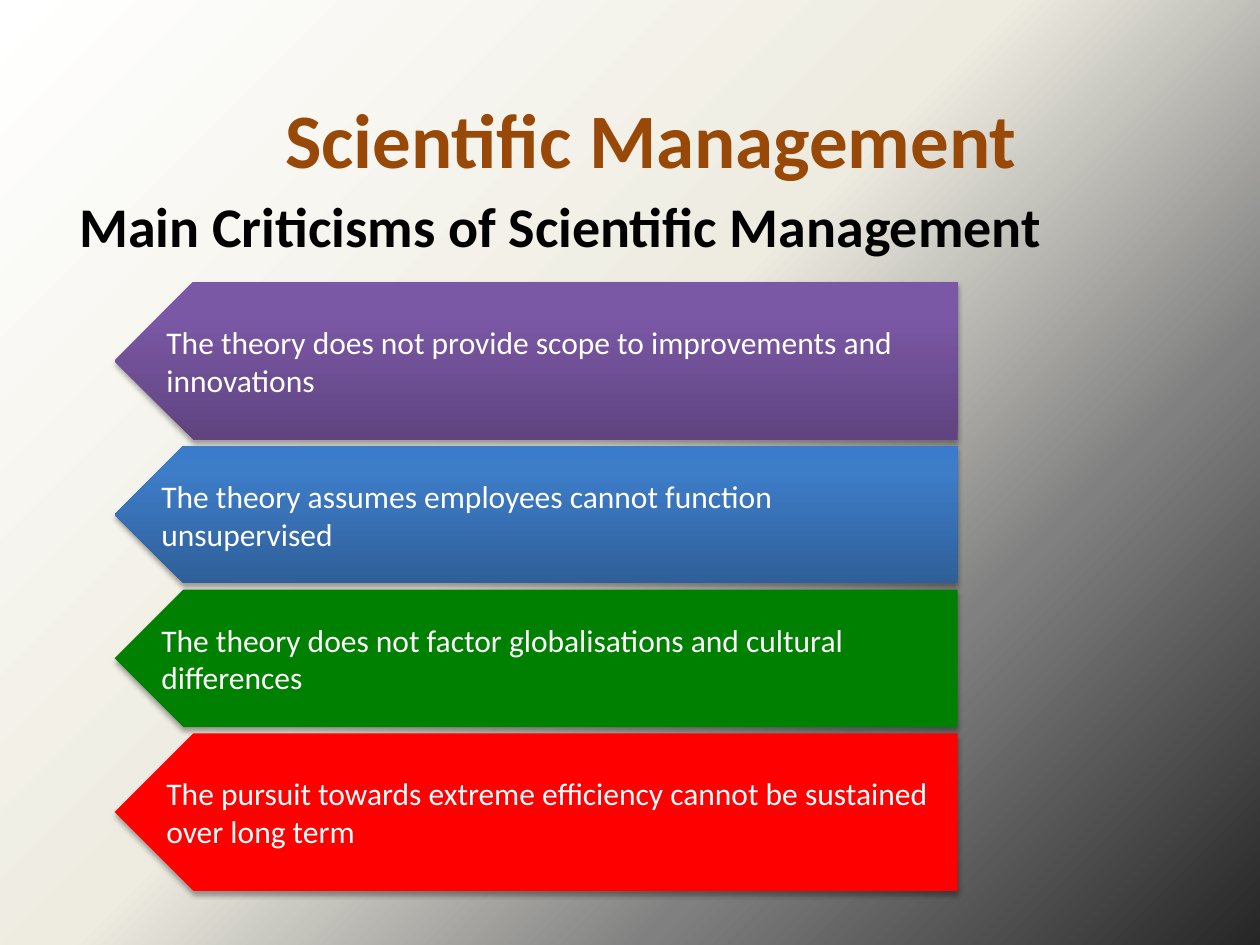
from lxml import etree
from pptx import Presentation
from pptx.dml.color import RGBColor
from pptx.enum import shapes, text
from pptx.oxml.ns import qn
from pptx.util import Inches, Pt

# Content
TITLE = "Scientific Management"
SUBTITLE = "Main Criticisms of Scientific Management"
BROWN = RGBColor(0x98, 0x48, 0x07)
BLACK = RGBColor(0, 0, 0)
WHITE = RGBColor(255, 255, 255)
GREEN = RGBColor(0, 0x80, 0)
RED = RGBColor(255, 0, 0)
BACKGROUND = [(0, WHITE), (46, RGBColor(0xEE, 0xEC, 0xE1)),
              (72, RGBColor(0x80, 0x80, 0x80)), (100, RGBColor(0x26, 0x26, 0x26))]
PURPLES = [(0, RGBColor(0x5F, 0x44, 0x80)), (80, RGBColor(0x7B, 0x58, 0xA6)),
           (100, RGBColor(0x7C, 0x57, 0xA8))]
BLUES = [(0, RGBColor(0x2F, 0x5F, 0x99)), (80, RGBColor(0x3D, 0x7C, 0xC7)),
         (100, RGBColor(0x3A, 0x7C, 0xCB))]

# Each criticism: wording, arrow height, fill
CRITICISMS = [
    ("The theory does not provide scope to improvements and innovations", 1.25, PURPLES),
    ("The theory assumes employees cannot function unsupervised", 1.09, BLUES),
    ("The theory does not factor globalisations and cultural differences", 1.09, GREEN),
    ("The pursuit towards extreme efficiency cannot be sustained over long term", 1.25, RED),
]
LEFT, TOP, WIDTH, GAP = 0.91, 2.24, 6.69, 0.05


def set_gradient(fill, element, stops, angle):
    """Angle is counter-clockwise, in degrees."""
    fill.gradient()
    fill.gradient_angle = angle
    stop_list = element.find(".//" + qn("a:gsLst"))
    for old in list(stop_list):
        stop_list.remove(old)
    for position, color in stops:
        stop = etree.SubElement(stop_list, qn("a:gs"), pos=str(position * 1000))
        etree.SubElement(stop, qn("a:srgbClr"), val=str(color))


def add_shadow(sp):
    sp.shadow.inherit = False
    effects = sp.element.spPr.find(qn("a:effectLst"))
    shadow = etree.SubElement(effects, qn("a:outerShdw"), blurRad=str(Pt(3.1)),
                              dist=str(Pt(1.8)), dir="5400000", rotWithShape="0")
    color = etree.SubElement(shadow, qn("a:srgbClr"), val=str(BLACK))
    etree.SubElement(color, qn("a:alpha"), val="35000")


def write(sp, words, size, color, bold=False, align=text.PP_ALIGN.LEFT,
          anchor=text.MSO_ANCHOR.MIDDLE):
    tf = sp.text_frame
    tf.word_wrap = True
    tf.vertical_anchor = anchor
    p = tf.paragraphs[0]
    p.alignment = align
    r = p.add_run()
    r.text = words
    r.font.name = "Calibri"
    r.font.size = Pt(size)
    r.font.bold = bold
    r.font.color.rgb = color


prs = Presentation()
prs.slide_width, prs.slide_height = Inches(10), Inches(7.5)
s = prs.slides.add_slide(prs.slide_layouts[6])
set_gradient(s.background.fill, s.element, BACKGROUND, 315)

# Headings
title = s.shapes.add_textbox(Inches(0.67), Inches(0.47), Inches(9), Inches(1.25))
write(title, TITLE, 44, BROWN, True, text.PP_ALIGN.CENTER)
subtitle = s.shapes.add_textbox(Inches(0.53), Inches(1.47), Inches(9), Inches(0.7))
write(subtitle, SUBTITLE, 32, BLACK, True, anchor=text.MSO_ANCHOR.TOP)

# Stack of arrows pointing left
top = TOP
for words, height, paint in CRITICISMS:
    sp = s.shapes.add_shape(shapes.MSO_SHAPE.PENTAGON, Inches(LEFT), Inches(top),
                            Inches(WIDTH), Inches(height))
    sp.element.spPr.find(qn("a:xfrm")).set("flipH", "1")
    if isinstance(paint, list):
        set_gradient(sp.fill, sp.element, paint, 90)
    else:
        sp.fill.solid()
        sp.fill.fore_color.rgb = paint
    sp.line.fill.background()
    add_shadow(sp)
    write(sp, words, 18, WHITE)
    top += height + GAP

prs.save("out.pptx")
